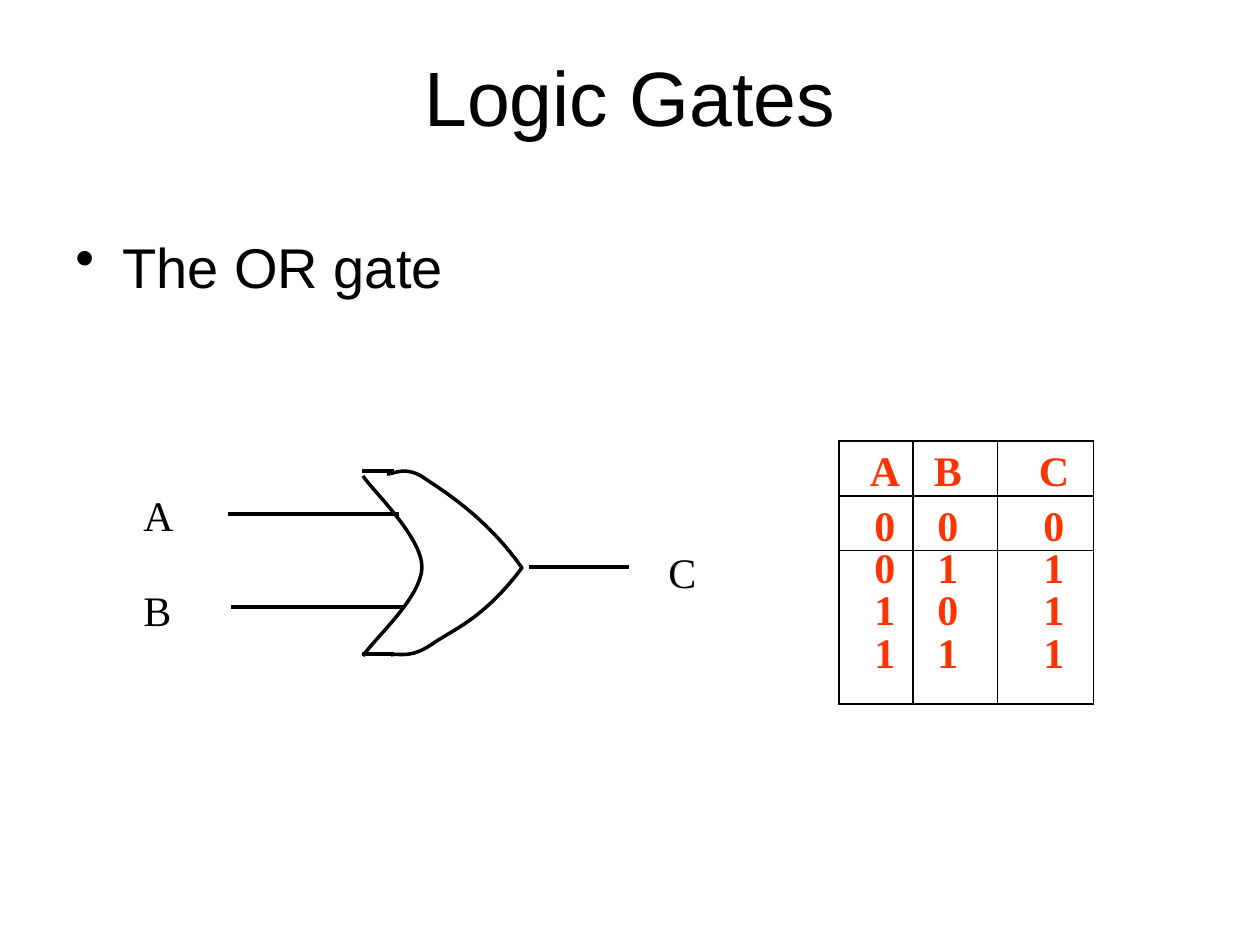
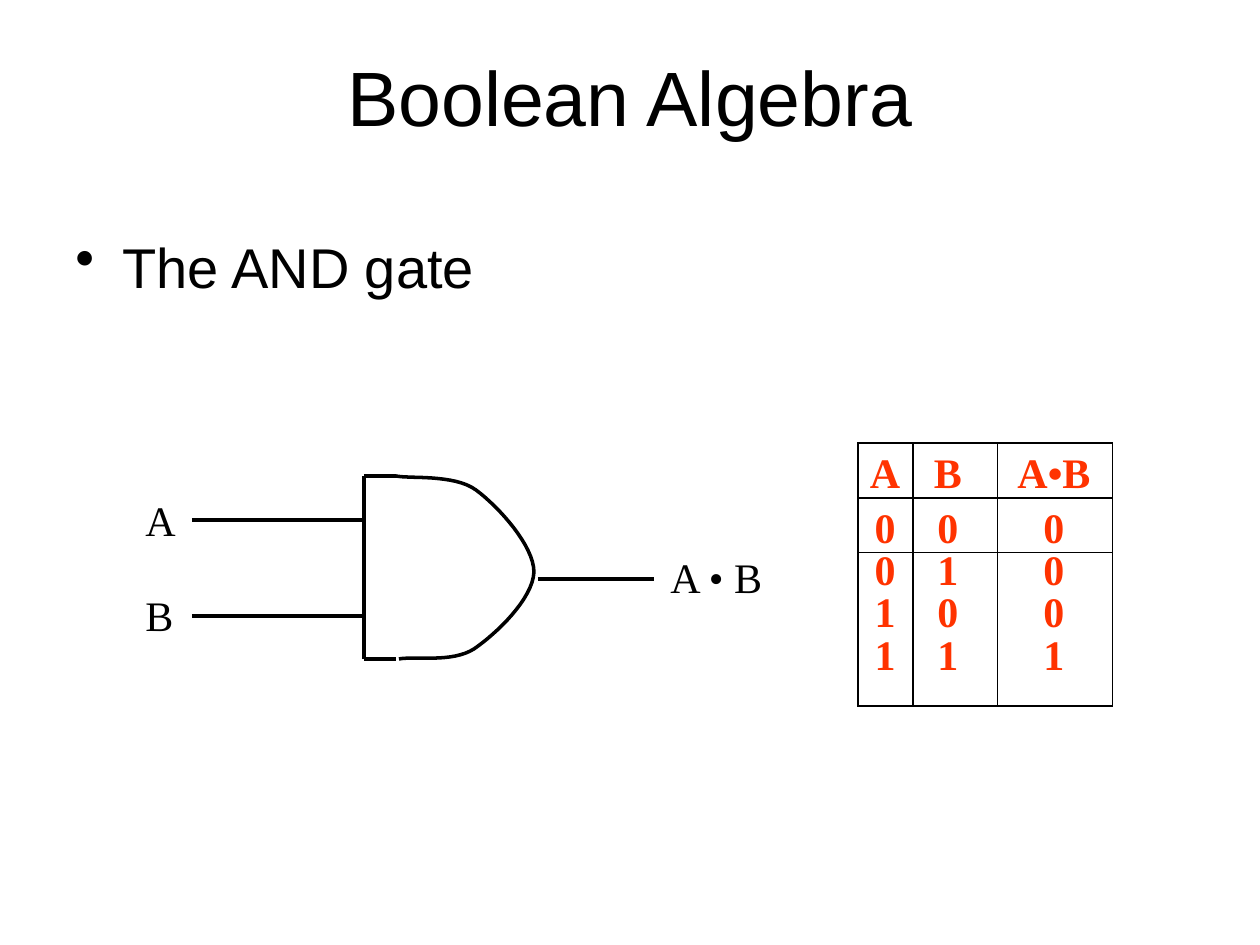
"""Build two slides that show the OR and AND gates with their truth tables."""
from lxml import etree
from pptx import Presentation
from pptx.dml.color import RGBColor
from pptx.enum.shapes import MSO_CONNECTOR
from pptx.enum.text import MSO_ANCHOR, PP_ALIGN
from pptx.oxml.ns import qn
from pptx.util import Emu, Pt

PX = 914400 // 126
STRAIGHT = MSO_CONNECTOR.STRAIGHT
TOP, MIDDLE, BOTTOM = MSO_ANCHOR.TOP, MSO_ANCHOR.MIDDLE, MSO_ANCHOR.BOTTOM
LEFT, CENTER = PP_ALIGN.LEFT, PP_ALIGN.CENTER
COLORS = {"ink": "000000", "truth": "FF3300"}
SANS, SERIF = "Arial", "Times New Roman"
NO_TABLE_STYLE = "{2D5ABB26-0587-4C30-8999-92F81FD0307C}"

TITLE_BOX = (63, 38, 1134, 130)
BODY_BOX = (63, 221, 1134, 624)
ROW_HEIGHTS = [55, 55, 42, 42, 69]
COLUMN_CENTERS = [885, 948, 1054]
CURVE_STEPS = 16

GATES = [
    {
        "title": "Logic Gates",
        "bullet": "The OR gate",
        "labels": [("A", 131, 480, 179), ("B", 131, 575, 179), ("C", 656, 537, 126)],
        "wires": [(228, 514, 399, 514), (231, 607, 403, 607), (529, 567, 629, 567),
                  (362, 471, 394, 471), (362, 654, 394, 654)],
        "curves": [
            [(387, 474), (393, 475), (406, 464), (427, 480),
             (450, 495), (490, 522), (522, 568),
             (483, 620), (452, 630), (431, 645),
             (410, 659), (399, 653), (391, 655)],
            [(363, 476), (373, 491), (422, 537), (422, 567),
             (422, 597), (375, 638), (363, 656)],
        ],
        "truth": ["A B C", "0 0 0", "0 1 1", "1 0 1", "1 1 1"],
        "table_top": 441,
        "column_edges": [839, 913, 998, 1094],
    },
    {
        "title": "Boolean Algebra",
        "bullet": "The AND gate",
        "labels": [("A", 133, 485, 179), ("B", 133, 580, 179), ("A • B", 658, 542, 126)],
        "wires": [(192, 520, 364, 520), (192, 616, 364, 616), (538, 579, 654, 579),
                  (364, 476, 364, 659), (364, 476, 396, 476), (364, 659, 396, 659)],
        "curves": [
            [(396, 476), (410, 479), (454, 474), (476, 490),
             (499, 507), (534, 546), (534, 572),
             (533, 599), (496, 634), (474, 649),
             (452, 663), (416, 656), (399, 659)],
        ],
        "truth": ["A B A•B", "0 0 0", "0 1 0", "1 0 0", "1 1 1"],
        "table_top": 443,
        "column_edges": [858, 913, 998, 1113],
    },
]


def px(length):
    return Emu(round(length * PX))


def color(name):
    return RGBColor.from_string(COLORS[name])


def style(paragraph, face, size, ink="ink", bold=False, align=LEFT):
    paragraph.alignment = align
    font = paragraph.font
    font.name, font.size, font.bold = face, Pt(size), bold
    font.color.rgb = color(ink)


def add_text(slide, text, box, margin_top=6, margin_bottom=6, anchor=TOP):
    frame = slide.shapes.add_textbox(*map(px, box)).text_frame
    frame.word_wrap = True
    frame.vertical_anchor = anchor
    frame.margin_top, frame.margin_bottom = px(margin_top), px(margin_bottom)
    paragraph = frame.paragraphs[0]
    paragraph.text = text
    return paragraph


def add_bullet(paragraph, indent):
    properties = paragraph._p.get_or_add_pPr()
    properties.set("marL", str(px(indent)))
    properties.set("indent", str(-px(indent)))
    etree.SubElement(properties, qn("a:buChar")).set("char", "•")


def add_wire(slide, ends):
    wire = slide.shapes.add_connector(STRAIGHT, *map(px, ends))
    wire.line.color.rgb = color("ink")
    wire.line.width = Pt(2)
    etree.SubElement(wire._element.spPr, qn("a:effectLst"))


def bezier(points):
    """Yield points along a chain of cubic curves."""
    for first in range(0, len(points) - 1, 3):
        controls = points[first:first + 4]
        for step in range(1, CURVE_STEPS + 1):
            t = step / CURVE_STEPS
            weights = ((1 - t) ** 3, 3 * t * (1 - t) ** 2, 3 * t ** 2 * (1 - t), t ** 3)
            yield tuple(px(sum(w * c[axis] for w, c in zip(weights, controls)))
                        for axis in (0, 1))


def add_curve(slide, points):
    builder = slide.shapes.build_freeform(*map(px, points[0]))
    builder.add_line_segments(list(bezier(points)), close=False)
    outline = builder.convert_to_shape()
    outline.shadow.inherit = False
    outline.fill.background()
    outline.line.color.rgb = color("ink")
    outline.line.width = Pt(2)


def add_borders(cell, sides):
    properties = cell._tc.get_or_add_tcPr()
    for position, side in enumerate(sides):
        border = etree.Element(qn(f"a:ln{side}"), w=str(Pt(0.75)))
        fill = etree.SubElement(border, qn("a:solidFill"))
        etree.SubElement(fill, qn("a:srgbClr")).set("val", COLORS["ink"])
        properties.insert(position, border)


def add_truth_table(slide, rows, edges, top):
    frame = slide.shapes.add_table(len(rows), len(edges) - 1, px(edges[0]), px(top),
                                   px(edges[-1] - edges[0]), px(sum(ROW_HEIGHTS)))
    table = frame.table
    table.first_row = table.horz_banding = False
    table._tbl.tblPr.find(qn("a:tableStyleId")).text = NO_TABLE_STYLE
    for column, left, right in zip(table.columns, edges, edges[1:]):
        column.width = px(right - left)
    for r, (values, height) in enumerate(zip(rows, ROW_HEIGHTS)):
        table.rows[r].height = px(height)
        for c, value in enumerate(values.split()):
            cell = table.cell(r, c)
            shift = 2 * COLUMN_CENTERS[c] - edges[c] - edges[c + 1]
            cell.margin_left, cell.margin_right = px(max(shift, 0)), px(max(-shift, 0))
            cell.margin_top = cell.margin_bottom = 0
            cell.vertical_anchor = BOTTOM if r < 2 else TOP
            cell.text = value
            paragraph = cell.text_frame.paragraphs[0]
            paragraph.line_spacing = Pt(24)
            style(paragraph, SERIF, 24, "truth", True, CENTER)
            cell.fill.background()
            top_side = "T" if r < 2 else ""
            bottom_side = "B" if r in (0, len(rows) - 1) else ""
            add_borders(cell, "LR" + top_side + bottom_side)


def add_gate_slide(deck, gate):
    slide = deck.slides.add_slide(deck.slide_layouts[6])
    title = add_text(slide, gate["title"], TITLE_BOX, margin_bottom=20, anchor=MIDDLE)
    style(title, SANS, 44, align=CENTER)
    bullet = add_text(slide, gate["bullet"], BODY_BOX, margin_top=11)
    add_bullet(bullet, 47)
    style(bullet, SANS, 32)
    for text, left, top, width in gate["labels"]:
        style(add_text(slide, text, (left, top, width, 63), margin_top=10), SERIF, 24)
    add_truth_table(slide, gate["truth"], gate["column_edges"], gate["table_top"])
    for ends in gate["wires"]:
        add_wire(slide, ends)
    for points in gate["curves"]:
        add_curve(slide, points)


def main():
    deck = Presentation()
    deck.slide_width, deck.slide_height = px(1260), px(945)
    for gate in GATES:
        add_gate_slide(deck, gate)
    deck.save("out.pptx")


if __name__ == "__main__":
    main()
